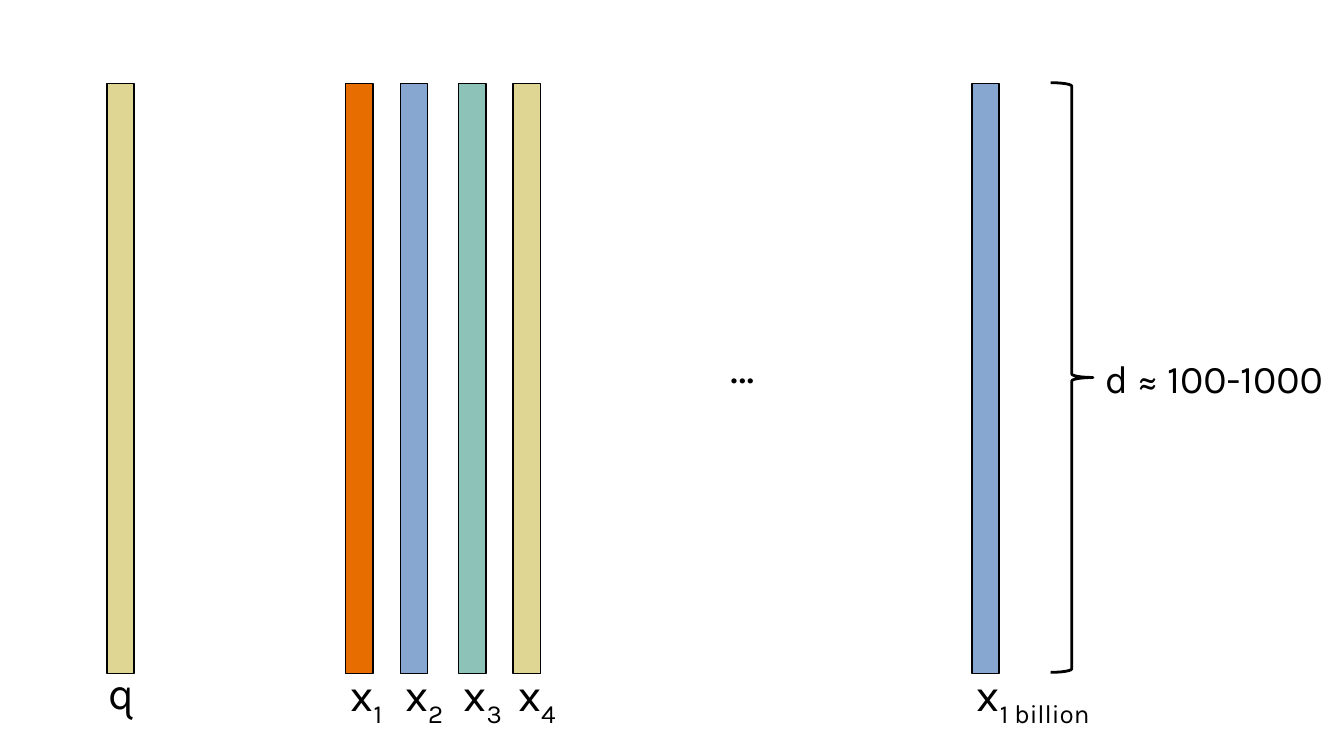
from dataclasses import dataclass

from pptx import Presentation
from pptx.dml.color import RGBColor
from pptx.enum.shapes import MSO_SHAPE
from pptx.enum.text import MSO_AUTO_SIZE
from pptx.util import Emu, Pt

PX = 9144


@dataclass(frozen=True)
class Theme:
    font: str = "Karla"
    ink: str = "000000"
    sand: str = "DFD693"
    orange: str = "E76D00"
    blue: str = "87A7D0"
    teal: str = "8CC2B7"
    symbol_size: int = 32
    note_size: int = 28
    bar_line: int = 1
    brace_line: int = 2


def px(*lengths):
    return [Emu(length * PX) for length in lengths]


def add_span(para, text, *, font, size, color, baseline=0):
    span = para.add_run()
    span.text = text
    span.font.name = font
    span.font.size = Pt(size)
    span.font.color.rgb = RGBColor.from_string(color)
    if baseline:
        span.font._element.set("baseline", str(baseline * 1000))


class VectorSlide:
    def __init__(self, page, theme):
        self.page = page
        self.theme = theme

    def shape(self, kind, left, top, width, height, line_width, fill=None):
        shape = self.page.shapes.add_shape(kind, *px(left, top, width, height))
        shape.shadow.inherit = False
        shape.line.color.rgb = RGBColor.from_string(self.theme.ink)
        shape.line.width = Pt(line_width)
        if fill:
            shape.fill.solid()
            shape.fill.fore_color.rgb = RGBColor.from_string(fill)
        else:
            shape.fill.background()

    def bar(self, left, fill):
        self.shape(MSO_SHAPE.RECTANGLE, left, 83, 27, 585, self.theme.bar_line, fill)

    def brace(self, left):
        self.shape(MSO_SHAPE.RIGHT_BRACE, left, 82, 42, 585, self.theme.brace_line)

    def label(self, left, top, width, height, text, size, subscript=""):
        box = self.page.shapes.add_textbox(*px(left, top, width, height))
        frame = box.text_frame
        frame.word_wrap = True
        frame.auto_size = MSO_AUTO_SIZE.SHAPE_TO_FIT_TEXT
        para = frame.paragraphs[0]
        style = {"font": self.theme.font, "size": size, "color": self.theme.ink}
        add_span(para, text, **style)
        if subscript:
            add_span(para, subscript, baseline=-25, **style)

    def symbol(self, left, top, text, subscript="", width=70):
        self.label(left, top, width, 64, text, self.theme.symbol_size, subscript)


def main():
    deck = Presentation()
    deck.slide_width, deck.slide_height = px(1333, 750)
    theme = Theme()
    slide = VectorSlide(deck.slides.add_slide(deck.slide_layouts[6]), theme)

    slide.bar(106, theme.sand)
    slide.symbol(98, 655, "q")

    data_vectors = [
        (343, theme.orange, "1", 70),
        (397, theme.blue, "2", 70),
        (455, theme.teal, "3", 70),
        (509, theme.sand, "4", 70),
        (964, theme.blue, "1 billion", 166),
    ]
    for left, fill, index, label_width in data_vectors:
        slide.bar(left, fill)
        slide.symbol(left - 5, 657, "x", index, label_width)

    slide.symbol(715, 331, "…")
    slide.label(1086, 347, 254, 57, "d ≈ 100-1000", theme.note_size)
    slide.brace(1042)

    deck.save("out.pptx")


if __name__ == "__main__":
    main()
